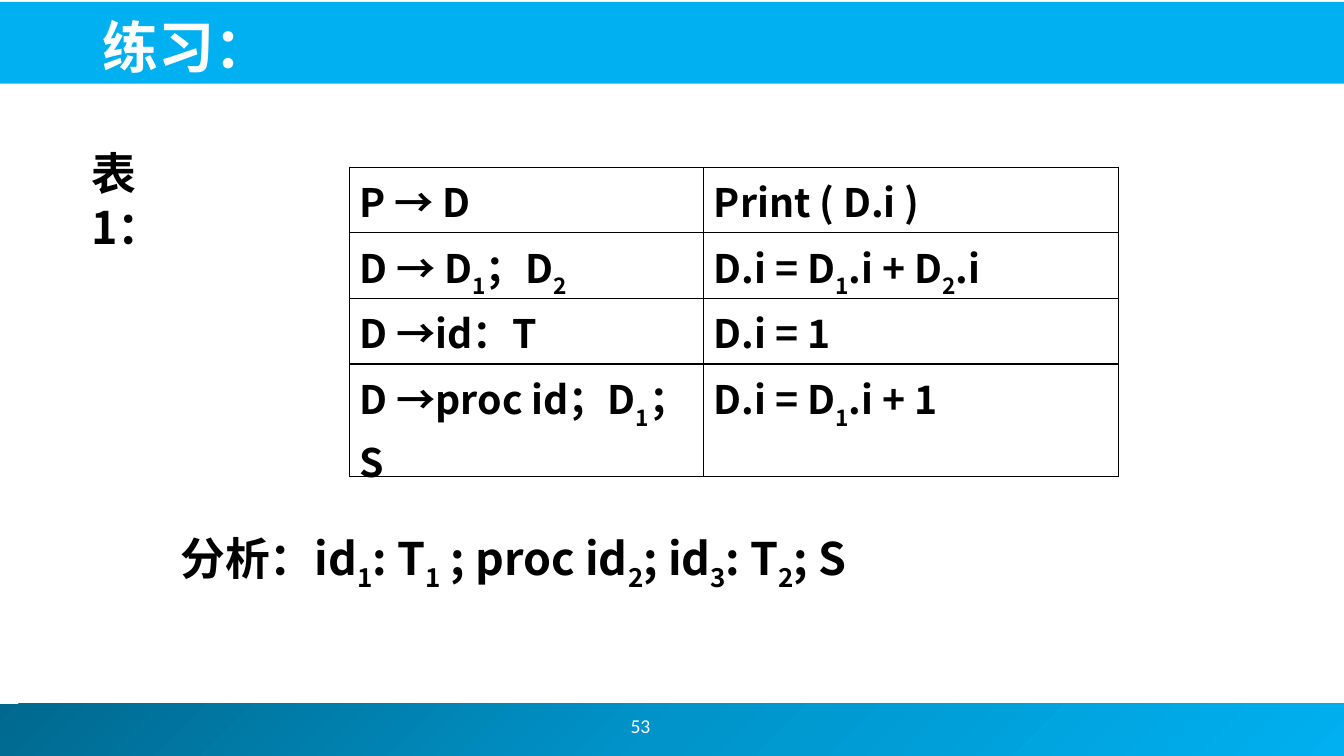
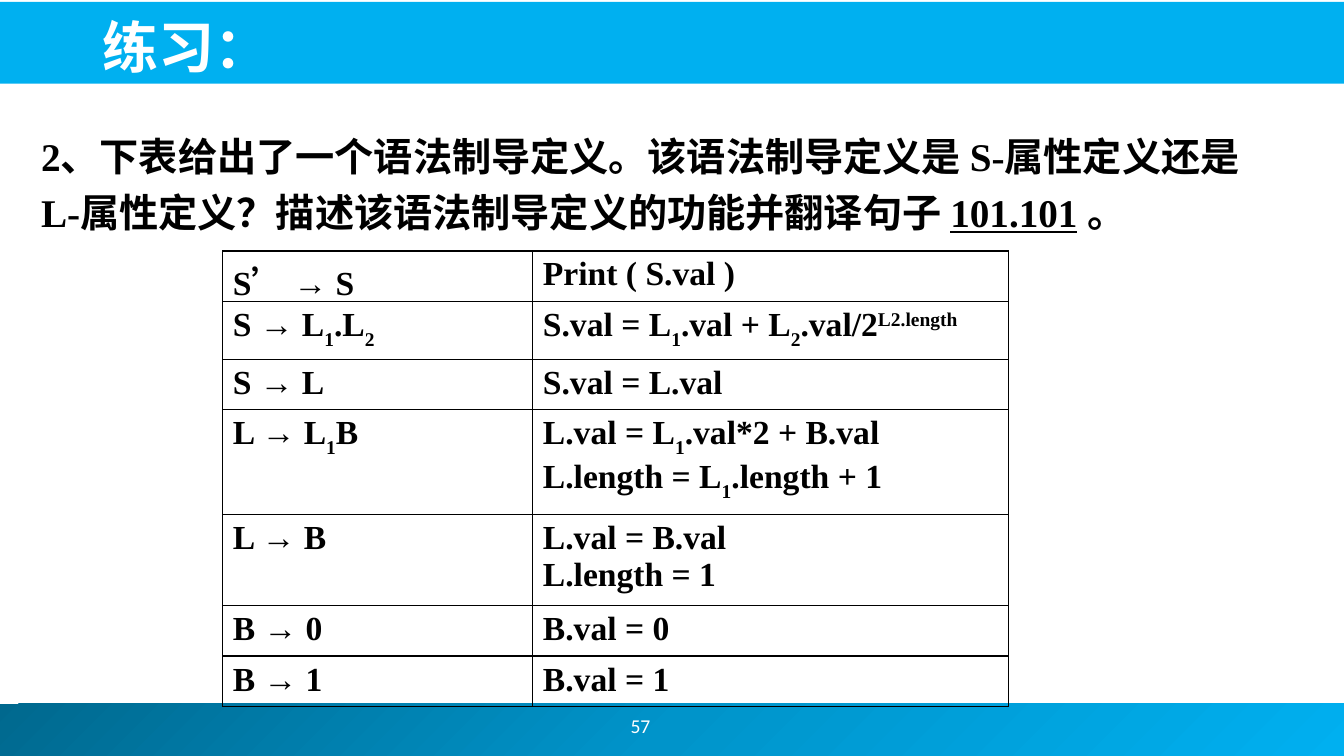
from copy import deepcopy
from dataclasses import dataclass

from lxml import etree
from pptx import Presentation
from pptx.dml.color import RGBColor
from pptx.enum import shapes, text
from pptx.oxml.ns import qn
from pptx.util import Pt


@dataclass(frozen=True)
class Theme:
    white: str = "FFFFFF"
    black: str = "000000"
    band: str = "00B0F0"
    footer: tuple = ("00688E", "0094CA", "00B0F0")
    sans: str = "Noto Sans CJK JP"
    quote: str = "Noto Sans CJK SC"
    serif: str = "Times New Roman"
    number: str = "Calibri"
    title_size: int = 40
    label_size: int = 32
    body_size: int = 28
    rule_size: int = 24
    number_size: int = 14


T = Theme()
WIDTH, HEIGHT = 960, 540
TITLE = "练习："

# SLIDES
SLIDES = [
    {
        "number": "53",
        "texts": [
            {"box": (58.3, 119.5, 91.4, 46), "text": "表1：", "font": T.sans,
             "size": T.label_size, "anchor": "MIDDLE"},
            {"box": (121.7, 375.8, 602, 46), "text": "分析：id|_1|: T|_1| ; proc id|_2|; id|_3|: T|_2|; S",
             "font": T.sans, "size": T.label_size},
        ],
        "table": {
            "at": (249.8, 119.5), "cols": (253, 296), "heights": (46.8,) * 4,
            "font": T.sans, "size": T.body_size,
            "rows": [
                ("P → D", "Print ( D.i )"),
                ("D → D|_1|；D|_2", "D.i = D|_1|.i + D|_2|.i"),
                ("D →id：T", "D.i = 1"),
                ("D →proc id；D|_1|；S", "D.i = D|_1|.i + 1"),
            ],
        },
    },
    {
        "number": "57",
        "texts": [
            {"box": (22.3, 84.2, 899.3, 98), "font": T.serif, "size": T.body_size,
             "fill": T.white, "spacing": 1.2,
             "text": "2、下表给出了一个语法制导定义。该语法制导定义是 S-属性定义还是 "
                     "L-属性定义？描述该语法制导定义的功能并翻译句子 |~101.101| 。"},
        ],
        "table": {
            "at": (159.1, 179.3), "cols": (221.5, 340), "heights": (36, 36, 36, 64.8, 64.8, 36, 36),
            "font": T.serif, "size": T.rule_size,
            "rows": [
                ("S|’| → S", "Print ( S.val )"),
                ("S → L|_1|.L|_2", "S.val = L|_1|.val + L|_2|.val/2|^L2.length"),
                ("S → L", "S.val = L.val"),
                ("L → L|_1|B", "L.val = L|_1|.val*2 + B.val\nL.length = L|_1|.length + 1"),
                ("L → B", "L.val = B.val\nL.length = 1"),
                ("B → 0", "B.val = 0"),
                ("B → 1", "B.val = 1"),
            ],
        },
    },
]


def rgb(value):
    return RGBColor.from_string(value)


def add_runs(p, marked, font, size, color=T.black, bold=True, shift=30):
    for part in marked.split("|"):
        mark = part[0] if part[0] in "_^~" else ""
        r = p.add_run()
        r.text = part[len(mark):]
        f = r.font
        f.name = T.quote if part == "’" else font
        f.size, f.bold, f.color.rgb = Pt(size), bold, rgb(color)
        ea = etree.SubElement(f._element, qn("a:ea"))
        ea.set("typeface", T.sans if font == T.serif else f.name)
        if mark == "~":
            f.underline = True
        elif mark:
            f._element.set("baseline", str(shift * (1000 if mark == "^" else -1000)))


def add_text(slide, box, text_, font, size, color=T.black, bold=True,
             anchor="TOP", align="LEFT", fill=None, spacing=None):
    sp = slide.shapes.add_textbox(*map(Pt, box))
    if fill:
        sp.fill.solid()
        sp.fill.fore_color.rgb = rgb(fill)
    tf = sp.text_frame
    tf.word_wrap = True
    tf.vertical_anchor = getattr(text.MSO_ANCHOR, anchor)
    p = tf.paragraphs[0]
    p.alignment = getattr(text.PP_ALIGN, align)
    if spacing:
        p.line_spacing = spacing
    add_runs(p, text_, font, size, color, bold, shift=25)


def add_band(slide, box):
    sp = slide.shapes.add_shape(shapes.MSO_SHAPE.RECTANGLE, *map(Pt, box))
    sp.shadow.inherit = False
    sp.line.fill.background()
    return sp.fill


def add_frame(slide, number):
    fill = add_band(slide, (-3.6, 502.6, 964, 37.4))
    fill.gradient()
    fill.gradient_angle = 315
    first = fill.gradient_stops[0]._gs
    first.addnext(deepcopy(first))
    for i, (stop, color) in enumerate(zip(fill.gradient_stops, T.footer)):
        stop.position = i / 2
        stop.color.rgb = rgb(color)
    fill = add_band(slide, (-1.4, 1.4, 962, 58.3))
    fill.solid()
    fill.fore_color.rgb = rgb(T.band)
    add_text(slide, (353.5, 500.4, 208, 36), number, T.number, T.number_size,
             T.white, bold=False, anchor="MIDDLE", align="CENTER")
    add_text(slide, (66.2, 3.6, 862, 56.9), TITLE, T.sans, T.title_size, T.white, anchor="BOTTOM")


def add_borders(cell):
    pr = cell._tc.get_or_add_tcPr()
    for i, side in enumerate(("lnL", "lnR", "lnT", "lnB")):
        ln = etree.Element(qn(f"a:{side}"), w=str(Pt(1)))
        solid = etree.SubElement(ln, qn("a:solidFill"))
        etree.SubElement(solid, qn("a:srgbClr"), val=T.black)
        pr.insert(i, ln)


def add_rules(slide, at, cols, heights, font, size, rows):
    frame = slide.shapes.add_table(len(rows), len(cols), *map(Pt, (*at, sum(cols), sum(heights))))
    table = frame.table
    table.first_row = table.horz_banding = False
    for col, width in zip(table.columns, cols):
        col.width = Pt(width)
    for row, height, values in zip(table.rows, heights, rows):
        row.height = Pt(height)
        for cell, value in zip(row.cells, values):
            cell.fill.background()
            add_borders(cell)
            for i, line in enumerate(value.split("\n")):
                tf = cell.text_frame
                p = tf.add_paragraph() if i else tf.paragraphs[0]
                add_runs(p, line, font, size)


def main():
    prs = Presentation()
    prs.slide_width, prs.slide_height = Pt(WIDTH), Pt(HEIGHT)
    for content in SLIDES:
        slide = prs.slides.add_slide(prs.slide_layouts[6])
        add_frame(slide, content["number"])
        for item in content["texts"]:
            item = dict(item)
            add_text(slide, item.pop("box"), item.pop("text"), **item)
        add_rules(slide, **content["table"])
    prs.save("out.pptx")


if __name__ == "__main__":
    main()
